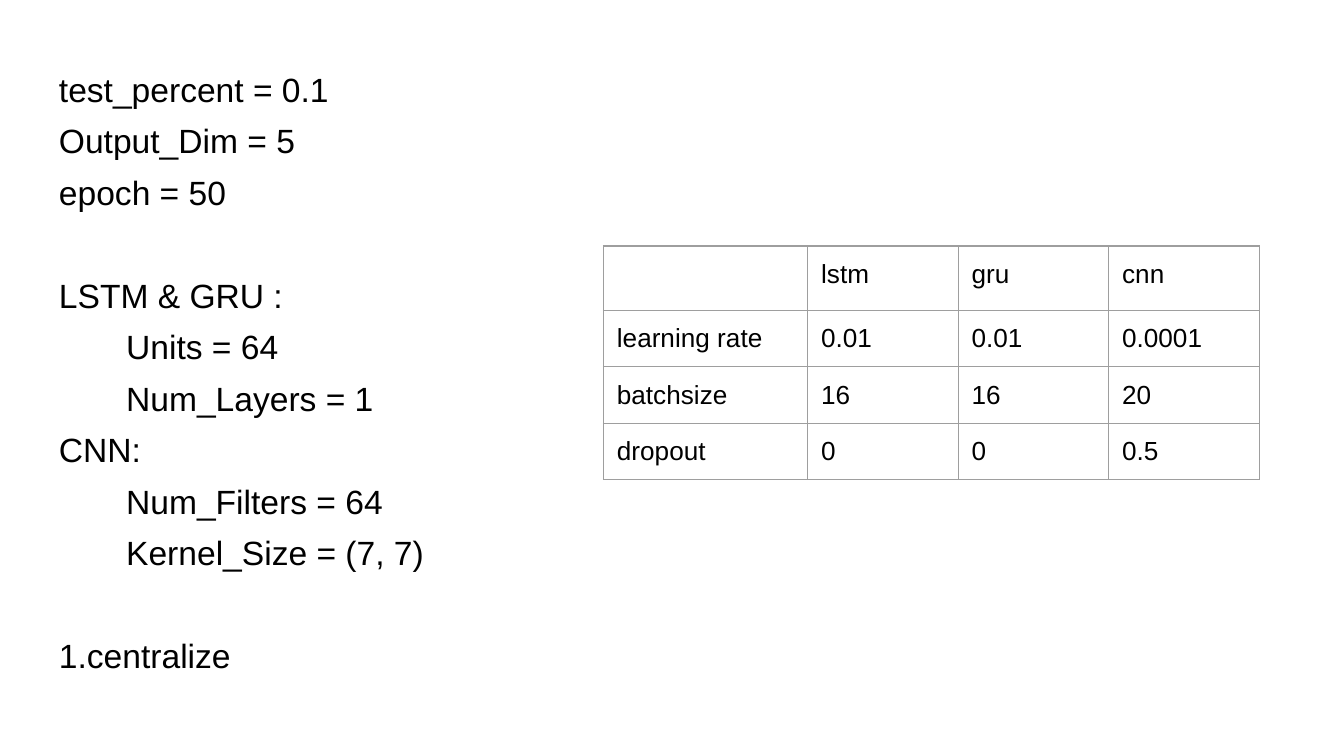
from lxml.etree import SubElement
from pptx import Presentation
from pptx.dml.color import RGBColor
from pptx.oxml.ns import qn
from pptx.util import Inches, Pt

COLORS = {"text": "000000", "border": "9E9E9E", "background": "FFFFFF"}
FONT = "Arial"
LINE_GAP = 6
SECTION_GAP = 33.6

SETTINGS = [
    ("test_percent = 0.1", 0, 0),
    ("Output_Dim = 5", 0, LINE_GAP),
    ("epoch = 50", 0, LINE_GAP),
    ("LSTM & GRU :", 0, SECTION_GAP),
    ("Units = 64", 0.5, LINE_GAP),
    ("Num_Layers = 1", 0.5, LINE_GAP),
    ("CNN:", 0, LINE_GAP),
    ("Num_Filters = 64", 0.5, LINE_GAP),
    ("Kernel_Size = (7, 7)", 0.5, LINE_GAP),
    ("1.centralize", 0, SECTION_GAP),
]

HYPERPARAMETERS = [
    ["", "lstm", "gru", "cnn"],
    ["learning rate", "0.01", "0.01", "0.0001"],
    ["batchsize", "16", "16", "20"],
    ["dropout", "0", "0", "0.5"],
]


def style_font(paragraph, size):
    paragraph.font.name = FONT
    paragraph.font.size = Pt(size)
    paragraph.font.color.rgb = RGBColor.from_string(COLORS["text"])


def set_margins(holder, bottom):
    holder.margin_left = holder.margin_right = holder.margin_top = Inches(0.1)
    holder.margin_bottom = Inches(bottom)


def add_borders(cell):
    properties = cell.fill._xPr
    for position, side in enumerate(("a:lnL", "a:lnR", "a:lnT", "a:lnB")):
        border = SubElement(properties, qn(side), w=str(Pt(0.75)))
        solid = SubElement(border, qn("a:solidFill"))
        SubElement(solid, qn("a:srgbClr"), val=COLORS["border"])
        properties.insert(position, border)


def add_settings(slide, left, top, width, height):
    box = slide.shapes.add_textbox(
        Inches(left), Inches(top), Inches(width), Inches(height))
    frame = box.text_frame
    frame.word_wrap = True
    set_margins(frame, 0.1)
    for index, (setting, indent, gap) in enumerate(SETTINGS):
        paragraph = frame.add_paragraph() if index else frame.paragraphs[0]
        paragraph.text = setting
        paragraph.space_before = Pt(gap)
        paragraph._p.get_or_add_pPr().set("marL", str(Inches(indent)))
        style_font(paragraph, 18)


def add_hyperparameters(slide, left, top, column_widths, row_heights):
    table = slide.shapes.add_table(
        len(row_heights), len(column_widths), Inches(left), Inches(top),
        Inches(sum(column_widths)), Inches(sum(row_heights))).table
    table.first_row = False
    table.horz_banding = False
    for column, width in zip(table.columns, column_widths):
        column.width = Inches(width)
    for row, height, values in zip(table.rows, row_heights, HYPERPARAMETERS):
        row.height = Inches(height)
        for cell, value in zip(row.cells, values):
            set_margins(cell, 0.08)
            cell.fill.background()
            add_borders(cell)
            cell.text = value
            style_font(cell.text_frame.paragraphs[0], 14)


def main():
    presentation = Presentation()
    presentation.slide_width = Inches(10)
    presentation.slide_height = Inches(10) * 9 // 16
    slide = presentation.slides.add_slide(presentation.slide_layouts[6])
    slide.background.fill.solid()
    slide.background.fill.fore_color.rgb = RGBColor.from_string(COLORS["background"])
    add_settings(slide, 0.34, 0.41, 9.32, 5.22)
    add_hyperparameters(
        slide, 4.49, 1.83, [1.52] + [1.12] * 3, [0.48] + [0.42] * 3)
    presentation.save("out.pptx")


if __name__ == "__main__":
    main()
